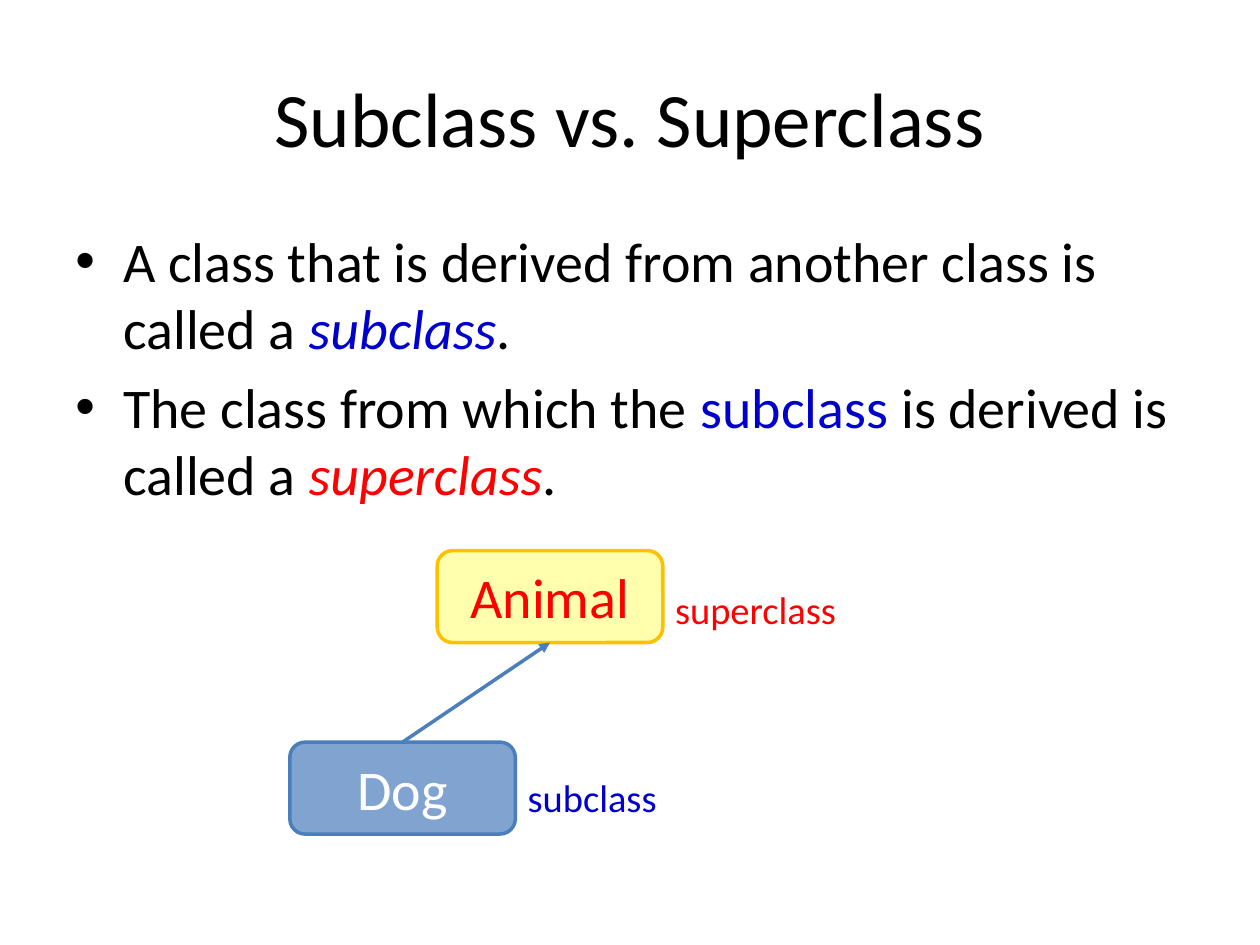
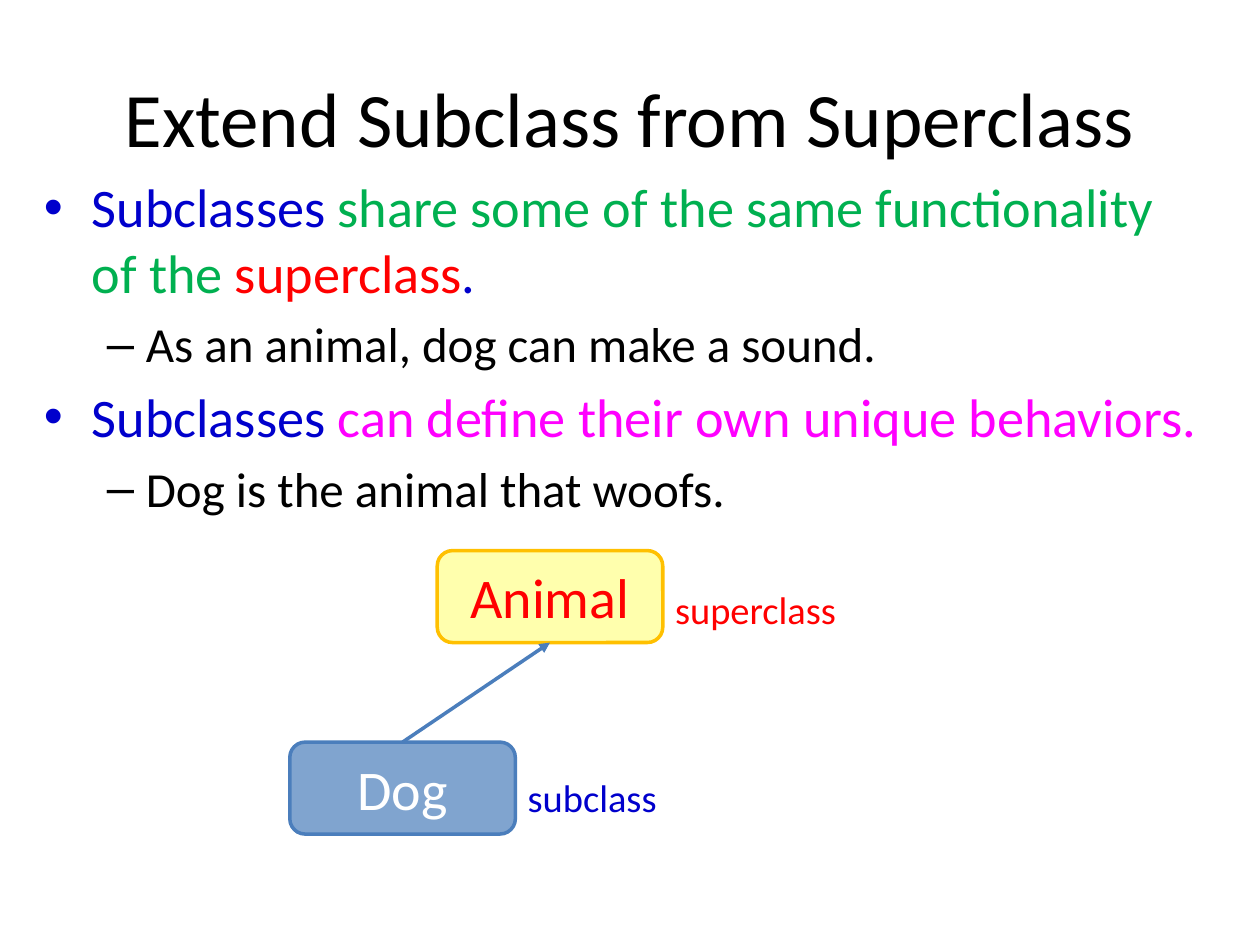
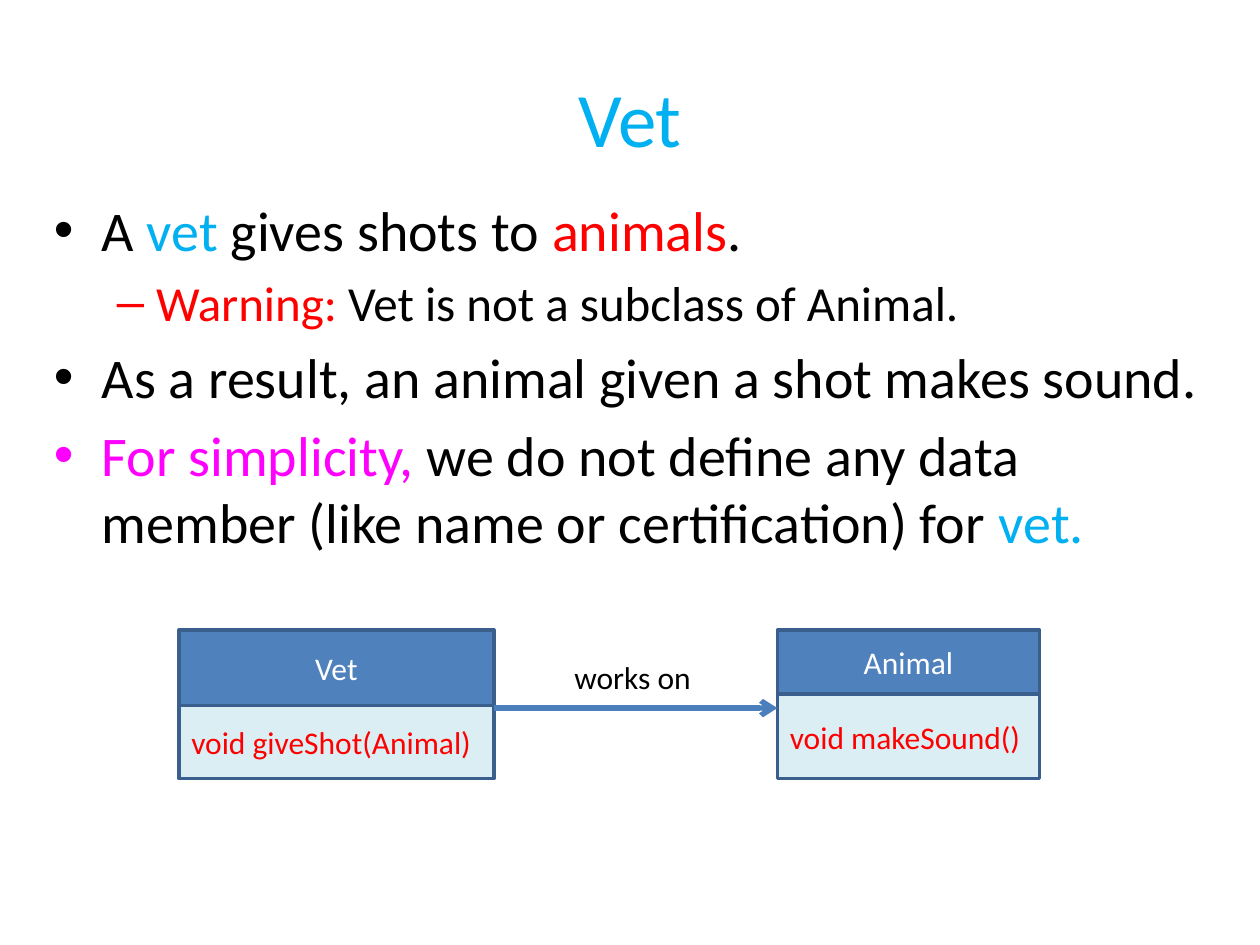
from lxml import etree
from pptx import Presentation
from pptx import util as u
from pptx.dml import color as dml
from pptx.enum import shapes, text
from pptx.oxml import ns

BLACK, WHITE, RED, NAVY = "000000", "FFFFFF", "FF0000", "0000CC"
GREEN, MAGENTA, SKY = "00B050", "FF00FF", "00B0F0"
YELLOW, GOLD = "FFFF00", "FFC000"
BLUE, EDGE, DARK_EDGE, PALE = "4F81BD", "4B7EBC", "3A5F8C", "DBEEF4"
LEVELS = [("\u2022", 0.38, 0.38), ("\u2013", 0.81, 0.31)]


def rgb(value):
    return dml.RGBColor.from_string(value)


def add_child(parent, tag, **attributes):
    return etree.SubElement(parent, ns.qn(tag), attributes)


def write(paragraph, content, size=18, color=BLACK, italic=False, font="Calibri"):
    run = paragraph.add_run()
    run.text = content
    run.font.name = font
    run.font.size = u.Pt(size)
    run.font.italic = italic
    run.font.color.rgb = rgb(color)


class Deck:
    def __init__(self):
        self.presentation = Presentation()
        self.presentation.slide_width = u.Inches(10)
        self.presentation.slide_height = u.Inches(7.5)
        self.slide = None

    def add_slide(self, title, color=BLACK):
        self.slide = self.presentation.slides.add_slide(self.presentation.slide_layouts[6])
        frame = self.text_box(0.5, 0.3, 9, 1.25)
        frame.vertical_anchor = text.MSO_ANCHOR.MIDDLE
        paragraph = frame.paragraphs[0]
        paragraph.alignment = text.PP_ALIGN.CENTER
        write(paragraph, title, size=44, color=color)

    def text_box(self, left, top, width, height):
        shape = self.slide.shapes.add_textbox(*map(u.Inches, (left, top, width, height)))
        shape.text_frame.word_wrap = True
        return shape.text_frame

    def bullets(self, left, top, width, height, items, sizes=(32, 28)):
        frame = self.text_box(left, top, width, height)
        for index, (level, runs) in enumerate(items):
            paragraph = frame.paragraphs[0] if index == 0 else frame.add_paragraph()
            mark, margin, hanging = LEVELS[level]
            paragraph.level = level
            paragraph.space_before = u.Pt(sizes[level] * 0.2)
            properties = paragraph._p.get_or_add_pPr()
            properties.set("marL", str(u.Inches(margin)))
            properties.set("indent", str(-u.Inches(hanging)))
            add_child(properties, "a:buFont", typeface="Arial")
            add_child(properties, "a:buChar", char=mark)
            for content, color, *italic in runs:
                write(paragraph, content, size=sizes[level], color=color, italic=bool(italic))

    def label(self, left, top, width, height, content, size=22, color=BLACK):
        frame = self.text_box(left, top, width, height)
        frame.auto_size = text.MSO_AUTO_SIZE.SHAPE_TO_FIT_TEXT
        write(frame.paragraphs[0], content, size=size, color=color)

    def box(self, left, top, width, height, content, fill, edge, color=WHITE, size=18,
            kind=shapes.MSO_SHAPE.RECTANGLE, opacity=100, align=text.PP_ALIGN.CENTER):
        shape = self.slide.shapes.add_shape(kind, *map(u.Inches, (left, top, width, height)))
        shape.shadow.inherit = False
        shape.fill.solid()
        shape.fill.fore_color.rgb = rgb(fill)
        if opacity < 100:
            fill_color = shape._element.spPr.find(ns.qn("a:solidFill"))[0]
            add_child(fill_color, "a:alpha", val=str(opacity * 1000))
        shape.line.color.rgb = rgb(edge)
        shape.line.width = u.Pt(2)
        frame = shape.text_frame
        frame.word_wrap = True
        frame.vertical_anchor = text.MSO_ANCHOR.MIDDLE
        paragraph = frame.paragraphs[0]
        paragraph.alignment = align
        write(paragraph, content, size=size, color=color)

    def arrow(self, start, end, head, width=2):
        connector = self.slide.shapes.add_connector(
            shapes.MSO_CONNECTOR.STRAIGHT, *map(u.Inches, (*start, *end)))
        connector.line.color.rgb = rgb(EDGE)
        connector.line.width = u.Pt(width)
        add_child(connector.line._get_or_add_ln(), "a:tailEnd", type=head)
        add_child(connector._element.spPr, "a:effectLst")

    def inheritance(self):
        width, height = 1.79, 0.73
        animal_left, animal_top, dog_left, dog_top = 3.47, 4.37, 2.3, 5.89
        rounded = shapes.MSO_SHAPE.ROUNDED_RECTANGLE
        self.box(animal_left, animal_top, width, height, "Animal", YELLOW, GOLD,
                 color=RED, size=32, kind=rounded, opacity=32)
        self.arrow((dog_left + width / 2, dog_top),
                   (animal_left + width / 2, animal_top + height), "triangle")
        self.box(dog_left, dog_top, width, height, "Dog", BLUE, EDGE,
                 size=32, kind=rounded, opacity=72)
        self.label(animal_left + width, 4.6, 1.58, 0.47, "superclass", color=RED)
        self.label(dog_left + width, 6.09, 1.36, 0.47, "subclass", color=NAVY)

    def class_box(self, left, width, header, name, method):
        top, bottom = 5, 6.18
        self.box(left, top, width, header, name, BLUE, DARK_EDGE)
        self.box(left, top + header, width, bottom - top - header, method, PALE, DARK_EDGE,
                 color=RED, align=text.PP_ALIGN.LEFT)


deck = Deck()

deck.add_slide("Subclass vs. Superclass")
deck.bullets(0.5, 1.75, 9, 4.95, [
    (0, [("A class that is derived from another class is called a ", BLACK),
         ("subclass", NAVY, "italic"), (".", BLACK)]),
    (0, [("The class from which the ", BLACK), ("subclass", NAVY),
         (" is derived is called a ", BLACK),
         ("superclass", RED, "italic"), (".", BLACK)]),
])
deck.inheritance()

deck.add_slide("Extend Subclass from Superclass")
deck.bullets(0.25, 1.33, 9.42, 5.37, [
    (0, [("Subclasses ", NAVY), ("share some of the same functionality of the ", GREEN),
         ("superclass", RED), (".", NAVY)]),
    (1, [("As an animal, dog can make a sound.", BLACK)]),
    (0, [("Subclasses", NAVY), (" can define their own unique behaviors.", MAGENTA)]),
    (1, [("Dog is the animal that woofs.", BLACK)]),
], sizes=(31, 28))
deck.inheritance()

deck.add_slide("Vet", color=SKY)
deck.bullets(0.33, 1.5, 9.42, 5.2, [
    (0, [("A ", BLACK), ("vet", SKY), (" gives shots to ", BLACK),
         ("animals", RED), (".", BLACK)]),
    (1, [("Warning:", RED), (" Vet is not a subclass of Animal.", BLACK)]),
    (0, [("As a result, an animal given a shot makes sound.", BLACK)]),
    (0, [("For simplicity, ", MAGENTA),
         ("we do not define any data member (like name or certification) for ", BLACK),
         ("vet.", SKY)]),
])
deck.class_box(6.17, 2.08, 0.51, "Animal", "void makeSound()")
deck.class_box(1.42, 2.5, 0.6, "Vet", "void giveShot(Animal)")
deck.arrow((3.92, 5.62), (6.17, 5.62), "arrow", width=3)
deck.label(4.46, 5.17, 1.17, 0.4, "works on", size=18)

deck.presentation.save("out.pptx")
